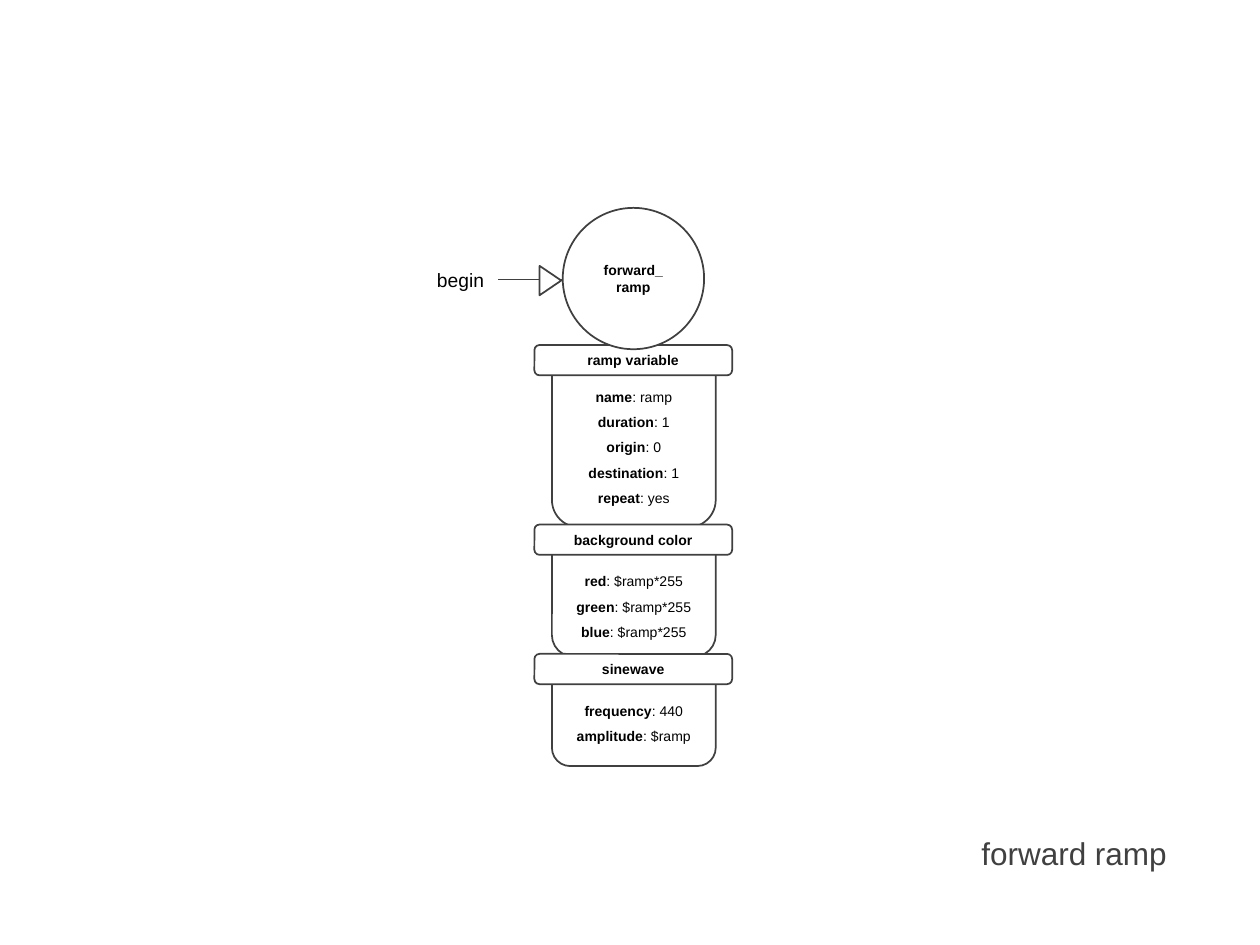
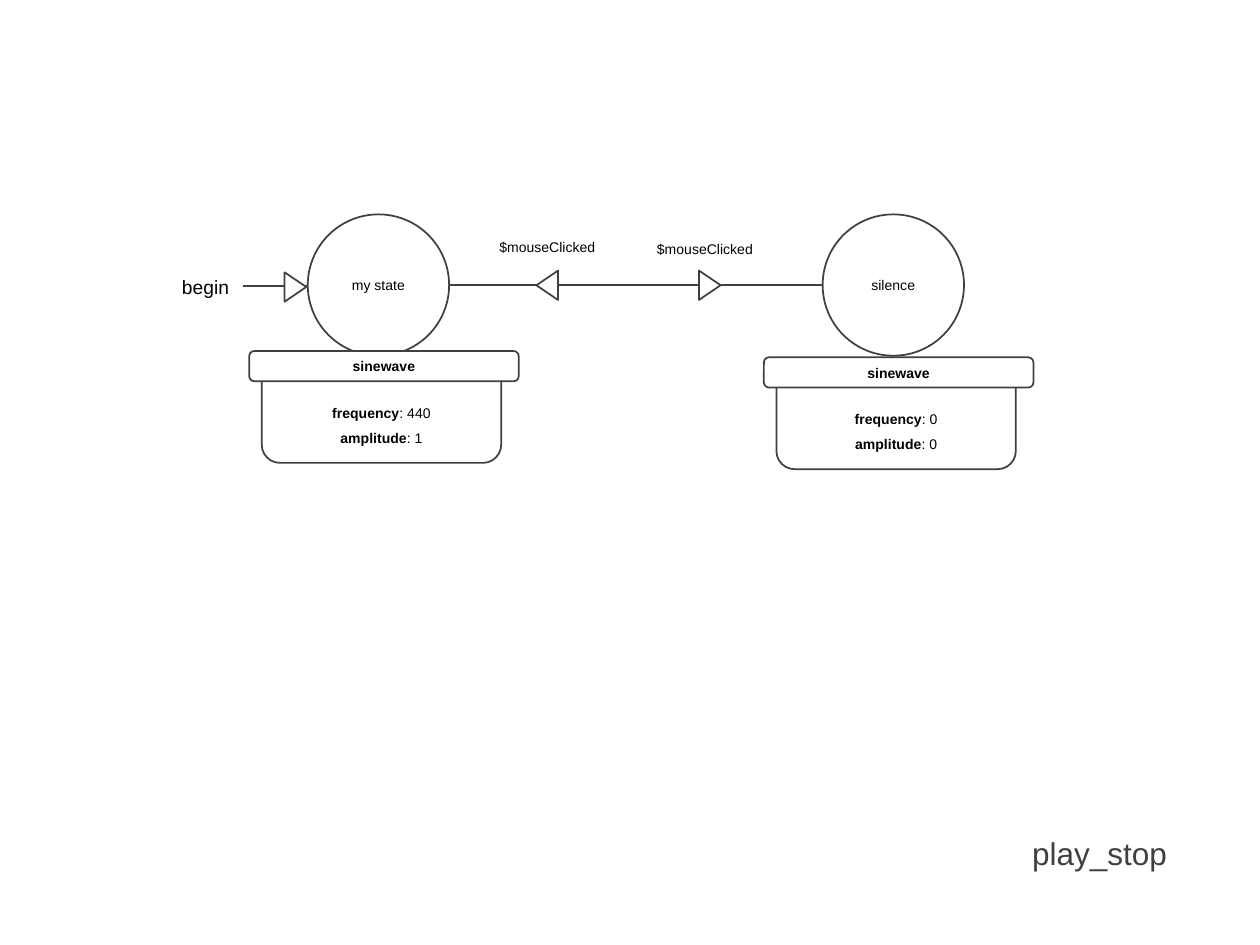
from lxml.etree import SubElement
from pptx import Presentation
from pptx.dml.color import RGBColor
from pptx.enum.shapes import MSO_CONNECTOR as Connector, MSO_SHAPE as Shape
from pptx.enum.text import MSO_ANCHOR as Anchor, MSO_AUTO_SIZE as AutoSize, PP_ALIGN as Align
from pptx.oxml.ns import qn
from pptx.util import Pt

COLORS = {"paper": "FFFFFF", "outline": "404040", "text": "000000"}
FONT = "Arial"
SMALL, LABEL, TITLE = 8, 11, 18
TITLE_ONLY = 5

CIRCLE_SIZE = 80.8
HEADER_HEIGHT = 17.3
BODY_DROP = 1.5      # body top below header top
LINE_PITCH = 14.4    # one setting in a module body
ARROW_BASE, ARROW_LENGTH = 16.8, 12.4

# Widths of the two module styles
NARROW = {"header": 113, "body": 93.6, "inset": 10}
WIDE = {"header": 154, "body": 136.8, "inset": 7.2}


def color(name):
    return RGBColor.from_string(COLORS[name])


def style_paragraph(paragraph, size, bold=None, align=Align.CENTER, spacing=None, ink="text"):
    paragraph.alignment = align
    if spacing:
        paragraph.line_spacing = spacing
    font = paragraph.font
    font.name, font.size = FONT, Pt(size)
    font.color.rgb = color(ink)
    if bold is not None:
        font.bold = bold


def add_outlined(shapes, kind, left, top, width, height, text="", bold=False):
    """White shape with a thin dark outline and optional centred text."""
    shape = shapes.add_shape(kind, Pt(left), Pt(top), Pt(width), Pt(height))
    shape.shadow.inherit = False
    shape.fill.solid()
    shape.fill.fore_color.rgb = color("paper")
    shape.line.color.rgb = color("outline")
    shape.line.width = Pt(1)
    if text:
        frame = shape.text_frame
        frame.text = text
        frame.vertical_anchor = Anchor.MIDDLE
        style_paragraph(frame.paragraphs[0], SMALL, bold)
    return shape


def add_text_box(shapes, left, top, width, height, wrap=True):
    box = shapes.add_textbox(Pt(left), Pt(top), Pt(width), Pt(height))
    box.text_frame.word_wrap = wrap
    box.text_frame.auto_size = AutoSize.SHAPE_TO_FIT_TEXT
    return box.text_frame


def add_line(shapes, start, end, y):
    line = shapes.add_connector(Connector.STRAIGHT, Pt(start), Pt(y), Pt(end), Pt(y))
    line.line.color.rgb = color("outline")
    line.line.width = Pt(1)
    SubElement(line._element.spPr, qn("a:effectLst"))


def add_arrowhead(shapes, left, top, rotation):
    triangle = add_outlined(shapes, Shape.ISOSCELES_TRIANGLE, left, top,
                            ARROW_BASE, ARROW_LENGTH)
    triangle.rotation = rotation


def add_state(slide, left, top, name, bold=False):
    add_outlined(slide.shapes, Shape.OVAL, left, top, CIRCLE_SIZE, CIRCLE_SIZE, name, bold)


def add_begin(slide, circle_left, circle_top):
    """Group of label, line and arrowhead leading into a state circle."""
    shapes = slide.shapes.add_group_shape().shapes
    add_line(shapes, circle_left - 37, circle_left, circle_top + 41)
    add_arrowhead(shapes, circle_left - 15.5, circle_top + 35.3, 90)
    frame = add_text_box(shapes, circle_left - 79, circle_top + 31, 41.8, 20.9, wrap=False)
    frame.text = "begin"
    style_paragraph(frame.paragraphs[0], LABEL, align=Align.LEFT)


def add_module(slide, left, top, height, text_drop, style, name, settings):
    """Header bar over a body that lists settings; returns the next header's top."""
    shapes = slide.shapes
    body_left = left + style["inset"]
    add_outlined(shapes, Shape.ROUNDED_RECTANGLE, body_left, top + BODY_DROP,
                 style["body"], height)
    add_outlined(shapes, Shape.ROUNDED_RECTANGLE, left, top,
                 style["header"], HEADER_HEIGHT, name, bold=True)
    frame = add_text_box(shapes, body_left, top + text_drop, style["body"],
                         LINE_PITCH * len(settings) + 7.2)
    for index, (key, value) in enumerate(settings.items()):
        paragraph = frame.add_paragraph() if index else frame.paragraphs[0]
        style_paragraph(paragraph, SMALL, spacing=1.5)
        for text, bold in ((key, True), (f": {value}", False)):
            run = paragraph.add_run()
            run.text, run.font.bold = text, bold
    return top + height


def add_condition(slide, left, top, width, text):
    frame = add_text_box(slide.shapes, left, top, width, 20.9)
    frame.text = text
    style_paragraph(frame.paragraphs[0], SMALL, spacing=1.5)


def add_titled_slide(presentation, title_text, title_left):
    slide = presentation.slides.add_slide(presentation.slide_layouts[TITLE_ONLY])
    title = slide.shapes.title
    title.left, title.top = Pt(title_left), Pt(462.2)
    title.width, title.height = Pt(674 - title_left), Pt(38.2)
    frame = title.text_frame
    frame.text = title_text
    frame.vertical_anchor = Anchor.TOP
    frame.auto_size = AutoSize.NONE
    style_paragraph(frame.paragraphs[0], TITLE, align=Align.RIGHT, spacing=1.5, ink="outline")
    return slide


def build_forward_ramp(presentation):
    slide = add_titled_slide(presentation, "forward ramp", 384.5)
    left = 305.4

    # The state circle overlaps the first module
    next_top = add_module(slide, left, 197.2, 102.6, 16.6, NARROW, "ramp variable", {
        "name": "ramp", "duration": "1", "origin": "0", "destination": "1", "repeat": "yes"})
    add_state(slide, 321.6, 118.8, "forward_\vramp", bold=True)
    add_begin(slide, 321.6, 118.8)

    # Modules stacked below
    next_top = add_module(slide, left, next_top, 73.9, 19.3, NARROW, "background color", {
        channel: "$ramp*255" for channel in ("red", "green", "blue")})
    add_module(slide, left, next_top, 62.6, 19.3, NARROW, "sinewave", {
        "frequency": "440", "amplitude": "$ramp"})


def build_play_stop(presentation):
    slide = add_titled_slide(presentation, "play_stop", 189.4)
    state_top, my_state_left, silence_left = 122.5, 175.9, 470.1

    # States
    add_state(slide, my_state_left, state_top, "my state")
    add_begin(slide, my_state_left, state_top)
    add_state(slide, silence_left, state_top, "silence")

    # Transitions between the states
    add_line(slide.shapes, my_state_left + CIRCLE_SIZE, silence_left,
             state_top + CIRCLE_SIZE / 2)
    add_arrowhead(slide.shapes, 397.2, 156.8, 90)
    add_condition(slide, 356.4, 128.9, 92.9, "$mouseClicked")
    add_arrowhead(slide.shapes, 304.3, 156.8, 270)
    add_condition(slide, 256.3, 128.2, 113, "$mouseClicked")

    # One sinewave module below each state
    for left, top, amplitude, frequency in ((142.4, 200.6, "1", "440"),
                                            (436.5, 204.2, "0", "0")):
        add_module(slide, left, top, 62.4, 22, WIDE, "sinewave", {
            "frequency": frequency, "amplitude": amplitude})


def main():
    presentation = Presentation()
    presentation.slide_width, presentation.slide_height = Pt(720), Pt(540)
    build_forward_ramp(presentation)
    build_play_stop(presentation)
    presentation.save("out.pptx")


if __name__ == "__main__":
    main()
